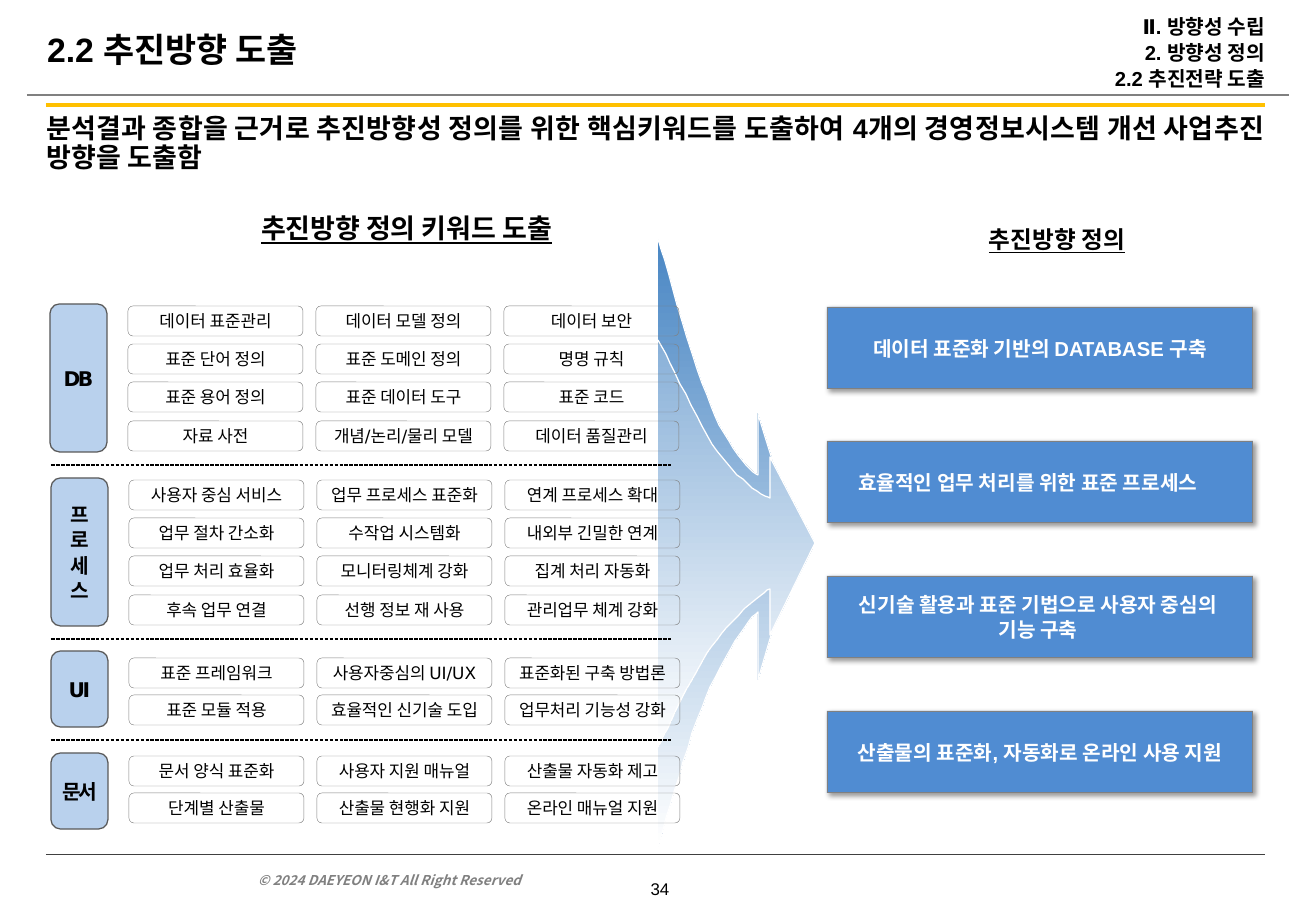
from lxml.etree import SubElement as Sub
from pptx import Presentation
from pptx.dml.color import RGBColor
from pptx.enum.dml import MSO_LINE as Dash
from pptx.enum.shapes import MSO_CONNECTOR as Conn, MSO_SHAPE as Kind
from pptx.enum.text import MSO_ANCHOR as Anchor, MSO_AUTO_SIZE as Fit, PP_ALIGN as Align
from pptx.oxml.ns import qn
from pptx.util import Pt

# Content
TITLE = "2.2 추진방향 도출"
TRAIL = ["Ⅱ. 방향성 수립", "2. 방향성 정의", "2.2 추진전략 도출"]
LEAD = ("분석결과 종합을 근거로 추진방향성 정의를 위한 핵심키워드를 도출하여 "
        "4개의 경영정보시스템 개선 사업추진 방향을 도출함")
LEFT_HEAD, RIGHT_HEAD = "추진방향 정의 키워드 도출", "추진방향 정의"
RIGHTS, PAGE = "© 2024 DAEYEON I&T All Right Reserved", "34"

# Label lines, left, label top, label height, first row top, row span, rows
GROUPS = [
    (["DB"], 50, 304, 148, 306, 115, [
        ("데이터 표준관리", "데이터 모델 정의", "데이터 보안"),
        ("표준 단어 정의", "표준 도메인 정의", "명명 규칙"),
        ("표준 용어 정의", "표준 데이터 도구", "표준 코드"),
        ("자료 사전", "개념/논리/물리 모델", "데이터 품질관리")]),
    (list("프로세스"), 51, 478, 148, 480, 115, [
        ("사용자 중심 서비스", "업무 프로세스 표준화", "연계 프로세스 확대"),
        ("업무 절차 간소화", "수작업 시스템화", "내외부 긴밀한 연계"),
        ("업무 처리 효율화", "모니터링체계 강화", "집계 처리 자동화"),
        ("후속 업무 연결", "선행 정보 재 사용", "관리업무 체계 강화")]),
    (["UI"], 51, 651, 76, 658, 37, [
        ("표준 프레임워크", "사용자중심의 UI/UX", "표준화된 구축 방법론"),
        ("표준 모듈 적용", "효율적인 신기술 도입", "업무처리 기능성 강화")]),
    (["문서"], 51, 753, 76, 756, 37, [
        ("문서 양식 표준화", "사용자 지원 매뉴얼", "산출물 자동화 제고"),
        ("단계별 산출물", "산출물 현행화 지원", "온라인 매뉴얼 지원")]),
]
# Text, right inset
GOALS = [
    ("데이터 표준화 기반의 DATABASE 구축", 12),
    ("효율적인 업무 처리를 위한 표준 프로세스", 36),
    ("신기술 활용과 표준 기법으로 사용자 중심의 기능 구축", 16),
    ("산출물의 표준화, 자동화로 온라인 사용 지원", 12),
]
# Left, top, right, bottom, colour, width, dash
RULES = [
    (27, 95, 1289, 95, "808080", 1.5, None),
    (46, 105, 1265, 105, "FFC000", 2.5, None),
    (46, 854, 1265, 854, "404040", 0.5, None),
] + [(51, y, 671, y, "000000", 0.75, Dash.SQUARE_DOT) for y in (465, 639, 740)]
# Colour, then points: two = line end, six = curve
ARROWS = [
    ("4A87C4", (658, 847), [
        (666, 822, 689, 736, 706, 697), (722, 659, 750, 615, 758, 612),
        (758, 680), (798, 543), (758, 414), (758, 475),
        (750, 474, 727, 445, 711, 406), (694, 367, 669, 275, 658, 239)]),
    ("88B0D8", (658, 747), [
        (667, 730, 693, 673, 712, 646), (730, 621, 761, 592, 770, 589),
        (770, 635), (815, 543), (770, 457), (770, 498),
        (762, 497, 736, 477, 717, 451), (699, 425, 671, 363, 658, 340)]),
]
KOREAN = "Noto Sans CJK KR"
SCALE = 7526  # EMU per px


def px(*vals):
    return [round(v * SCALE) for v in vals]


def rgb(code):
    return RGBColor.from_string(code)


def write(shape, lines, size, font="Arial", color="000000", bold=True, italic=False,
          under=False, align=Align.CENTER, anchor=Anchor.MIDDLE, pad=(0, 0, 0, 0),
          space=None, before=0, track=None, wrap=True):
    frame = shape.text_frame
    frame.auto_size, frame.word_wrap = Fit.NONE, wrap
    frame.vertical_anchor = anchor
    (frame.margin_left, frame.margin_top,
     frame.margin_right, frame.margin_bottom) = px(*pad)
    for i, line in enumerate([lines] if isinstance(lines, str) else lines):
        para = frame.paragraphs[0] if i == 0 else frame.add_paragraph()
        props = para._p.get_or_add_pPr()
        props.set("marL", "0")
        props.set("indent", "0")
        Sub(props, qn("a:buNone"))
        para.alignment, para.line_spacing = align, space
        para.space_before = Pt(before if i else 0)
        run = para.add_run()
        run.text = line
        face = run.font
        face.name, face.size, face.bold = font, Pt(size), bold
        face.italic, face.underline = italic, under
        face.color.rgb = rgb(color)
        mark = run._r.get_or_add_rPr()
        mark.set("kern", "0")
        Sub(mark, qn("a:ea")).set("typeface", KOREAN)
        if track:
            mark.set("spc", str(track))


def box(kind, area, fill, edge, width):
    shape = slide.shapes.add_shape(kind, *px(*area))
    shape.shadow.inherit = False
    if fill:
        shape.fill.solid()
        shape.fill.fore_color.rgb = rgb(fill)
    else:
        shape.fill.background()
    shape.line.color.rgb, shape.line.width = rgb(edge), Pt(width)
    return shape


def note(area, text, size, **fmt):
    write(slide.shapes.add_textbox(*px(*area)), text, size, **fmt)


def hold(index, area, text, size, **fmt):
    shape = slide.placeholders[index]
    shape.left, shape.top, shape.width, shape.height = px(*area)
    write(shape, text, size, **fmt)


def curve(start, bend, steps=12):
    ends = [start, bend[:2], bend[2:4], bend[4:]]
    for n in range(1, steps + 1):
        t = n / steps
        u = 1 - t
        mix = (u ** 3, 3 * u * u * t, 3 * u * t * t, t ** 3)
        yield tuple(sum(m * e[k] for m, e in zip(mix, ends)) for k in (0, 1))


deck = Presentation()
deck.slide_width, deck.slide_height = px(1316, 911)
slide = deck.slides.add_slide(deck.slide_layouts[3])

# Header
hold(0, (47, 0, 912, 104), TITLE, 20, align=Align.LEFT, space=0.9)
hold(1, (658, 0, 607, 107), TRAIL, 12, align=Align.RIGHT, space=0.9, before=2.4,
     pad=(0, 6, 0, 6))
hold(2, (46, 115, 1219, 83), LEAD, 16, align=Align.JUSTIFY, space=0.9, track=20,
     anchor=Anchor.TOP)

# Big arrow, outer then inner
for color, start, parts in ARROWS:
    spots = []
    last = start
    for part in parts:
        spots += [part] if len(part) == 2 else curve(last, part)
        last = part[-2:]
    pen = slide.shapes.build_freeform(*start, scale=SCALE)
    pen.add_line_segments(spots, close=False)
    arrow = pen.convert_to_shape()
    arrow.shadow.inherit = False
    arrow.fill.gradient()
    arrow.fill.gradient_angle = 270
    for stop, tone, place in zip(arrow.fill.gradient_stops, (color, "FFFFFF"), (0, 1)):
        stop.color.rgb, stop.position = rgb(tone), place
    arrow.line.color.rgb, arrow.line.width = rgb("FFFFFF"), Pt(0.75)

# Rules
for x1, y1, x2, y2, color, width, dash in RULES:
    rule = slide.shapes.add_connector(Conn.STRAIGHT, *px(x1, y1, x2, y2))
    rule.line.color.rgb, rule.line.width = rgb(color), Pt(width)
    if dash:
        rule.line.dash_style = dash
    Sub(rule._element.spPr, qn("a:effectLst"))

# Section heads
note((123, 213, 555, 30), LEFT_HEAD, 16, font=KOREAN, under=True, pad=(12, 0, 0, 0))
note((932, 220, 250, 39), RIGHT_HEAD, 14, under=True)

# Keyword groups
for label, left, top, high, first, span, rows in GROUPS:
    tab = box(Kind.ROUNDED_RECTANGLE, (left, top, 57, high), "B9D1ED", "595959", 0.75)
    write(tab, label, 12, font="DejaVu Sans", space=1.05, track=-150, pad=(5, 5, 5, 5))
    for r, row in enumerate(rows):
        y = first + span * r // (len(rows) - 1)
        for c, word in enumerate(row):
            cell = box(Kind.ROUNDED_RECTANGLE, (left + 78 + 188 * c, y, 175, 30),
                       None, "808080", 0.25)
            write(cell, word, 10, font="DejaVu Sans", bold=False)

# Goals
for i, (text, inset) in enumerate(GOALS):
    goal = box(Kind.RECTANGLE, (827, 307 + 404 * i // 3, 426, 82), "508CD2", "808080", 0.5)
    write(goal, text, 12, color="FFFFFF", pad=(12, 6, inset, 6))
    glow = Sub(goal._element.spPr.find(qn("a:effectLst")), qn("a:outerShdw"),
               blurRad=str(Pt(3)), dist=str(Pt(2)), dir="2700000",
               algn="tl", rotWithShape="0")
    shade = Sub(glow, qn("a:srgbClr"), val="000000")
    Sub(shade, qn("a:alpha"), val="40000")

# Footer
note((246, 861, 367, 33), RIGHTS, 8, font=KOREAN, color="808080", italic=True,
     align=Align.LEFT, anchor=Anchor.BOTTOM, pad=(12, 6, 12, 6))
note((640, 872, 40, 33), PAGE, 10, bold=False, wrap=False)

deck.save("out.pptx")
